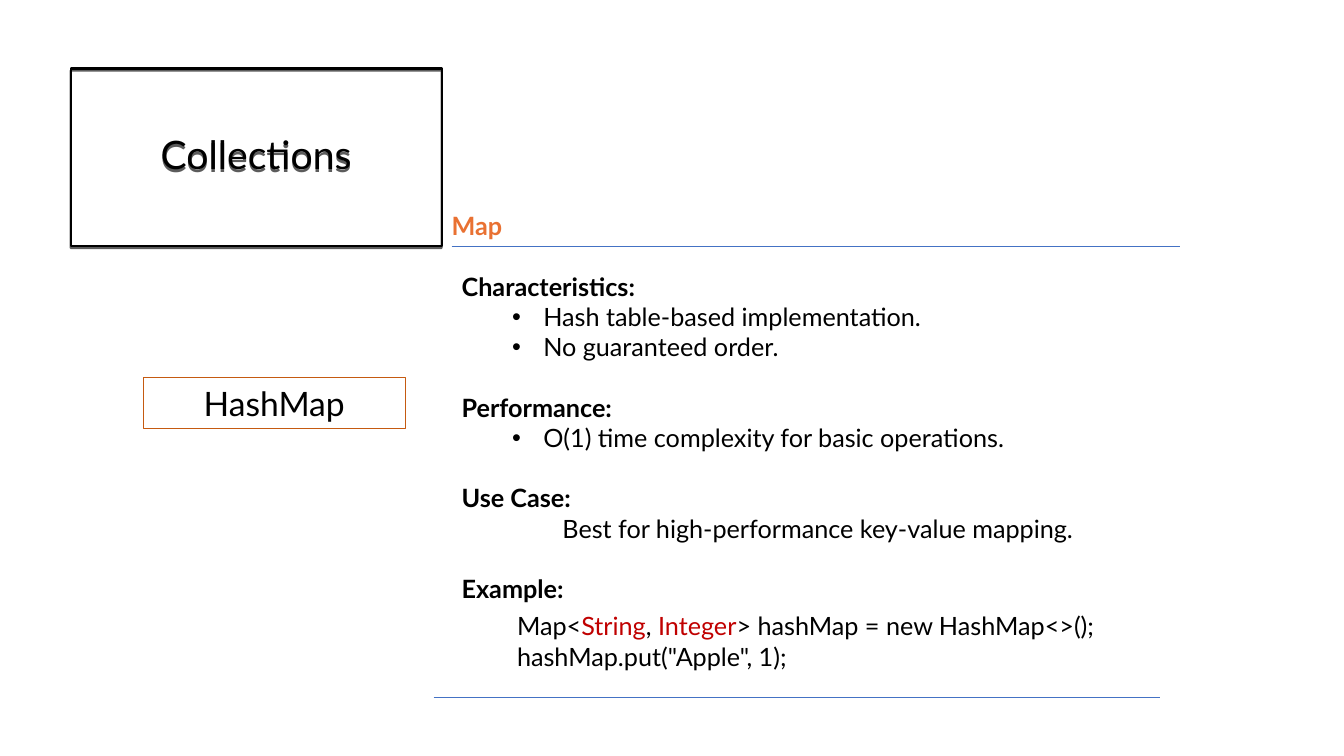
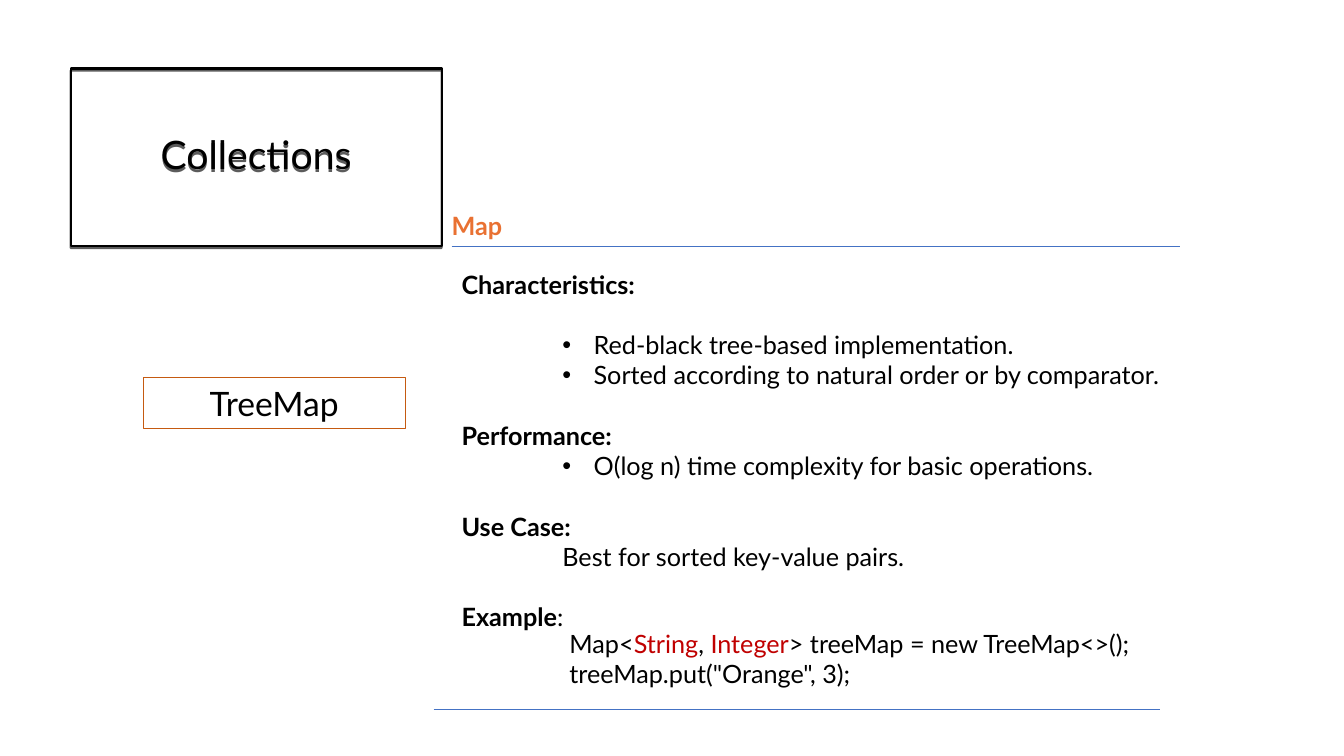
from pptx import Presentation
from pptx.dml.color import RGBColor
from pptx.enum.shapes import MSO_CONNECTOR, MSO_SHAPE
from pptx.enum.text import MSO_ANCHOR, PP_ALIGN
from pptx.oxml import parse_xml
from pptx.oxml.ns import nsdecls
from pptx.util import Pt

PX = 9144  # 100 px to the inch
FONT = "Lato"
BLACK, ORANGE, RUST = "000000", "E97132", "C55A11"
BLUE, RED = "4472C4", "C00000"
BLANK_LINE = 21.6  # points, one line of 18 pt text
HANGING = 31
PLAIN_LEFT = 100

CHAPTER, TOPIC = "Collections", "Map"
TOPICS = [
    {
        "name": "HashMap",
        "body_at": (448, 264, 732, 343),
        "code_at": (503, 601, 667, 71),
        "footer_y": 692,
        "bullet_left": 81,
        "first_list_gap": 0,
        "characteristics": ["Hash table-based implementation.", "No guaranteed order."],
        "performance": "O(1) time complexity for basic operations.",
        "use_case": "Best for high-performance key-value mapping.",
        "example": [("Example:", {"bold": True})],
        "declaration": "> hashMap = new HashMap<>();",
        "call": 'hashMap.put("Apple", 1);',
    },
    {
        "name": "TreeMap",
        "body_at": (448, 262, 743, 374),
        "code_at": (555, 618, 667, 71),
        "footer_y": 704,
        "bullet_left": 131,
        "first_list_gap": BLANK_LINE,
        "characteristics": ["Red-black tree-based implementation.",
                            "Sorted according to natural order or by comparator."],
        "performance": "O(log n) time complexity for basic operations.",
        "use_case": "Best for sorted key-value pairs.",
        "example": [("Example", {"bold": True}), (":", {})],
        "declaration": "> treeMap = new TreeMap<>();",
        "call": 'treeMap.put("Orange", 3);',
    },
]


def rgb(value):
    return RGBColor.from_string(value)


def line(runs, gap=0, left=0, bullet=False):
    """Describe one paragraph; runs is a string or a list of (text, format) pairs."""
    if isinstance(runs, str):
        runs = [(runs, {})]
    return {"runs": runs, "gap": gap, "left": left, "bullet": bullet}


def write(shape, lines, size=18, color=BLACK, bold=False, align=PP_ALIGN.LEFT,
          anchor=MSO_ANCHOR.TOP, spacing=1.0):
    frame = shape.text_frame
    frame.word_wrap = True
    frame.vertical_anchor = anchor
    for number, content in enumerate(lines):
        paragraph = frame.add_paragraph() if number else frame.paragraphs[0]
        paragraph.alignment = align
        paragraph.line_spacing = spacing
        paragraph.space_before = Pt(content["gap"])
        properties = paragraph._p.get_or_add_pPr()
        properties.set("marL", str(content["left"] * PX))
        properties.set("indent", str(-HANGING * PX if content["bullet"] else 0))
        if content["bullet"]:
            properties.append(parse_xml(f'<a:buFont {nsdecls("a")} typeface="Arial"/>'))
            properties.append(parse_xml(f'<a:buChar {nsdecls("a")} char="•"/>'))
        for words, style in content["runs"]:
            run = paragraph.add_run()
            run.text = words
            run.font.name = FONT
            run.font.size = Pt(size)
            run.font.bold = style.get("bold", bold)
            run.font.color.rgb = rgb(style.get("color", color))


def add_text(slide, box, lines, **style):
    area = slide.shapes.add_textbox(*(side * PX for side in box))
    write(area, lines, **style)


def add_frame(slide, box, label, outline, width, **style):
    frame = slide.shapes.add_shape(MSO_SHAPE.RECTANGLE, *(side * PX for side in box))
    frame.shadow.inherit = False
    frame.fill.background()
    frame.line.color.rgb = rgb(outline)
    frame.line.width = Pt(width)
    write(frame, [line(label)], align=PP_ALIGN.CENTER, anchor=MSO_ANCHOR.MIDDLE, **style)
    return frame


def add_drop_shadow(shape):
    effects = shape._element.spPr.find("{*}effectLst")
    effects.append(parse_xml(
        f'<a:outerShdw {nsdecls("a")} blurRad="0" dist="{Pt(1.5)}" dir="5400000" '
        'algn="ctr" rotWithShape="0">'
        f'<a:srgbClr val="{BLACK}"><a:alpha val="63000"/></a:srgbClr></a:outerShdw>'))


def add_rule(slide, left, right, y):
    rule = slide.shapes.add_connector(
        MSO_CONNECTOR.STRAIGHT, left * PX, y * PX, right * PX, y * PX)
    rule.line.color.rgb = rgb(BLUE)
    rule.line.width = Pt(0.5)
    rule._element.spPr.append(parse_xml(f'<a:effectLst {nsdecls("a")}/>'))


def body_lines(topic):
    def heading(runs, gap=BLANK_LINE):
        if isinstance(runs, str):
            runs = [(runs, {"bold": True})]
        return line(runs, gap)

    def bullet(words, gap=0):
        return line(words, gap, topic["bullet_left"], True)

    first, *others = topic["characteristics"]
    return [
        heading("Characteristics:", 0),
        bullet(first, topic["first_list_gap"]),
        *map(bullet, others),
        heading("Performance:"),
        bullet(topic["performance"]),
        heading("Use Case:"),
        line(topic["use_case"], left=PLAIN_LEFT),
        heading(topic["example"]),
    ]


def code_lines(topic):
    type_color = {"color": RED}
    declaration = [("Map<", {}), ("String", type_color), (", ", {}),
                   ("Integer", type_color), (topic["declaration"], {})]
    return [line(declaration), line(topic["call"])]


def add_topic_slide(deck, topic):
    slide = deck.slides.add_slide(deck.slide_layouts[6])
    title = add_frame(slide, (70, 68, 368, 176), CHAPTER, BLACK, 1.5, size=28, spacing=0.9)
    add_drop_shadow(title)
    add_rule(slide, 448, 1170, 244)
    add_rule(slide, 430, 1151, topic["footer_y"])
    add_text(slide, (438, 204, 251, 40), [line(TOPIC)], color=ORANGE, bold=True)
    add_frame(slide, (142, 375, 260, 50), topic["name"], RUST, 0.75, size=24)
    add_text(slide, topic["body_at"], body_lines(topic))
    add_text(slide, topic["code_at"], code_lines(topic))


def main():
    deck = Presentation()
    deck.slide_width, deck.slide_height = 1333 * PX, 750 * PX
    for topic in TOPICS:
        add_topic_slide(deck, topic)
    deck.save("out.pptx")


if __name__ == "__main__":
    main()
